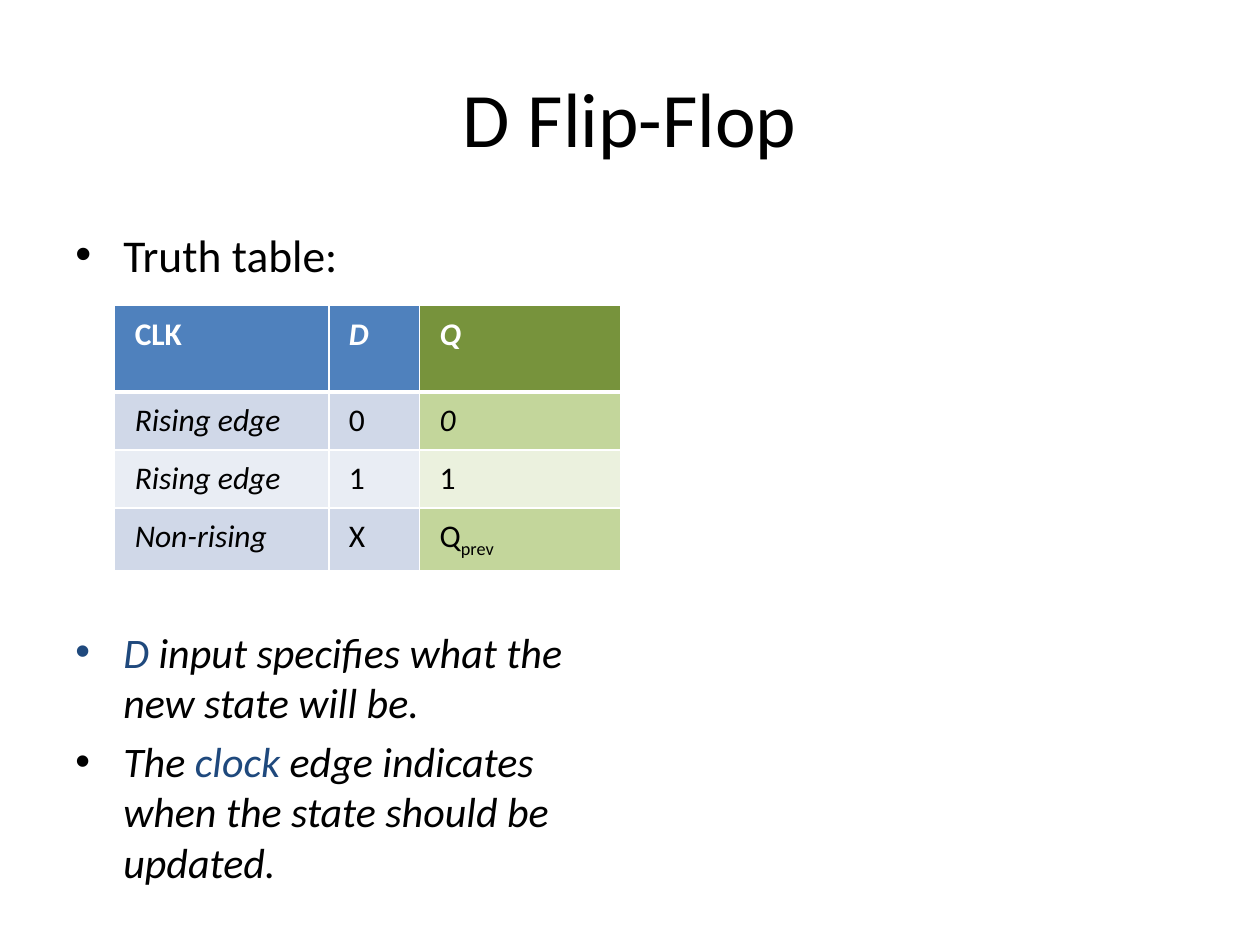
from pptx import Presentation
from pptx.dml.color import RGBColor
from pptx.enum.text import MSO_ANCHOR, PP_ALIGN
from pptx.oxml import parse_xml
from pptx.oxml.ns import nsdecls
from pptx.util import Inches, Pt

THEME = {
    "font": "Calibri",
    "black": "000000", "white": "FFFFFF", "accent": "1F497D",
    "input_fills": ["4F81BD", "D0D8E8", "E9EDF4", "D0D8E8"],
    "output_fills": ["77933C", "C3D69B", "EBF1DE", "C3D69B"],
    "title": 44, "lead": 26, "body": 24, "cell": 18,
}


def add_run(p, text, size, color="black", **formats):
    r = p.add_run()
    r.text = text
    r.font.color.rgb = RGBColor.from_string(THEME[color])
    for name, value in {"name": THEME["font"], "size": Pt(THEME[size]), **formats}.items():
        setattr(r.font, name, value)
    return r


def add_box(left, top, width, height, anchor):
    tf = s.shapes.add_textbox(*map(Inches, (left, top, width, height))).text_frame
    tf.word_wrap = True
    tf.vertical_anchor = anchor
    return tf


prs = Presentation()
prs.slide_width, prs.slide_height = Inches(10), Inches(7.5)
s = prs.slides.add_slide(prs.slide_layouts[6])

# Title
p = add_box(0.5, 0.3, 9, 1.25, MSO_ANCHOR.MIDDLE).paragraphs[0]
p.alignment = PP_ALIGN.CENTER
add_run(p, "D Flip-Flop", "title")

# Bullets: size, space before, italic, runs; the large space leaves room for the table
bullets = [
    ("lead", 0, False, [("Truth table:", "black")]),
    ("body", 197, True, [("D ", "accent"),
                         ("input specifies what the new state will be.", "black")]),
    ("body", 5, True, [("The ", "black"), ("clock", "accent"),
                       (" edge indicates when the state should be updated.", "black")]),
]
tf = add_box(0.5, 1.75, 4.42, 4.95, MSO_ANCHOR.TOP)
for i, (size, space, italic, runs) in enumerate(bullets):
    p = tf.add_paragraph() if i else tf.paragraphs[0]
    pPr = p._p.get_or_add_pPr()
    pPr.set("marL", str(Inches(0.38)))
    pPr.set("indent", str(-Inches(0.38)))
    pPr.append(parse_xml(f'<a:buFont {nsdecls("a")} typeface="Arial"/>'))
    pPr.append(parse_xml(f'<a:buChar {nsdecls("a")} char="•"/>'))
    p.space_before = Pt(space)
    for text, color in runs:
        add_run(p, text, size, color, italic=italic)

# Truth table
rows = [["CLK", "D", "Q"], ["Rising edge", "0", "0"],
        ["Rising edge", "1", "1"], ["Non-rising", "X", "Q"]]
italic_cells = {(0, 1), (0, 2), (1, 0), (1, 2), (2, 0), (3, 0)}
col_widths = [1.7, 0.72, 1.6]
row_heights = [0.69, 0.46, 0.46, 0.46]
margins = {"margin_left": 0.16, "margin_right": 0.16, "margin_top": 0.08, "margin_bottom": 0.08}

table = s.shapes.add_table(4, 3, Inches(0.91), Inches(2.42),
                           Inches(sum(col_widths)), Inches(sum(row_heights))).table
for column, width in zip(table.columns, col_widths):
    column.width = Inches(width)
for row, height in zip(table.rows, row_heights):
    row.height = Inches(height)

for i, row in enumerate(rows):
    for j, text in enumerate(row):
        cell = table.cell(i, j)
        for name, value in margins.items():
            setattr(cell, name, Inches(value))
        tcPr = cell._tc.get_or_add_tcPr()
        for side in "LRTB":
            header_rule = (i, side) in {(0, "B"), (1, "T")}
            tcPr.append(parse_xml(
                f'<a:ln{side} {nsdecls("a")} w="{Pt(3 if header_rule else 1)}"><a:solidFill>'
                f'<a:srgbClr val="{THEME["white"]}"/></a:solidFill></a:ln{side}>'))
        cell.fill.solid()
        fills = THEME["output_fills" if j == 2 else "input_fills"]
        cell.fill.fore_color.rgb = RGBColor.from_string(fills[i])
        add_run(cell.text_frame.paragraphs[0], text, "cell", "black" if i else "white",
                bold=i == 0, italic=(i, j) in italic_cells)

subscript = add_run(table.cell(3, 2).text_frame.paragraphs[0], "prev", "cell",
                    bold=False, italic=False)
subscript.font._element.set("baseline", "-25000")

prs.save("out.pptx")
